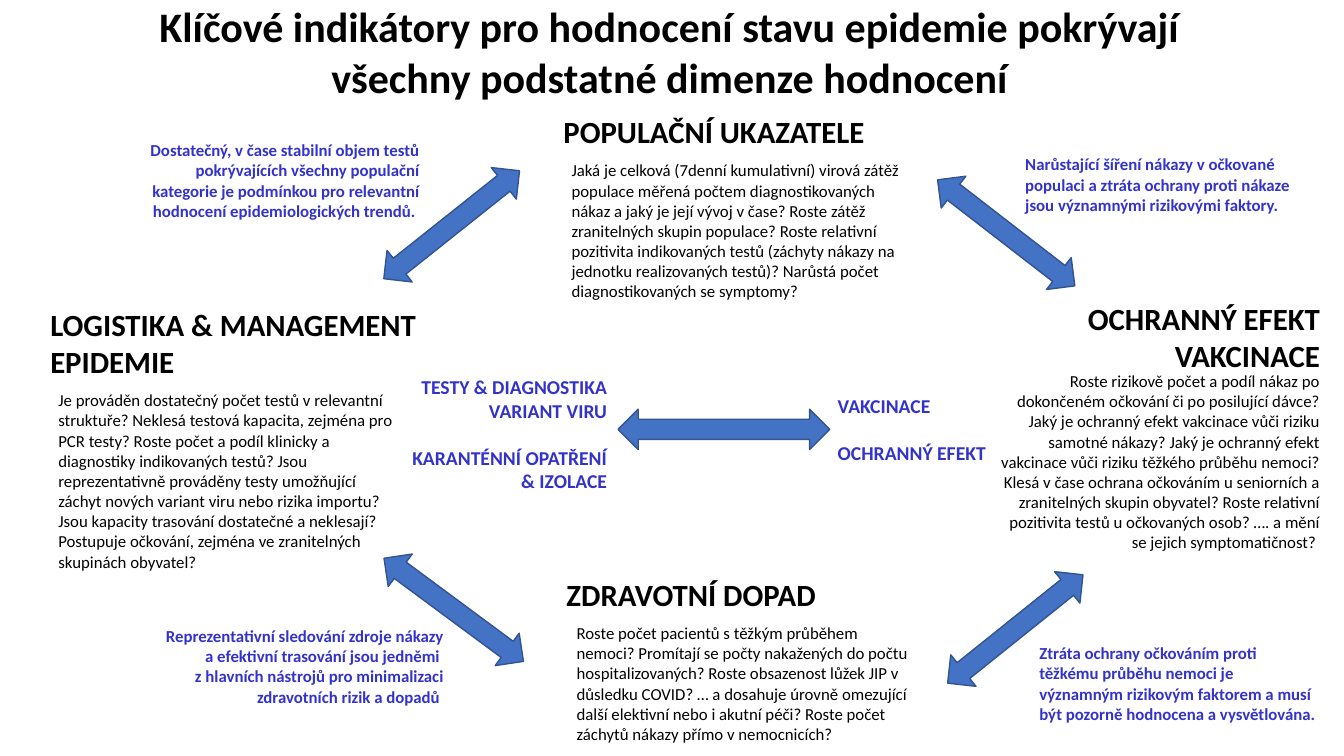
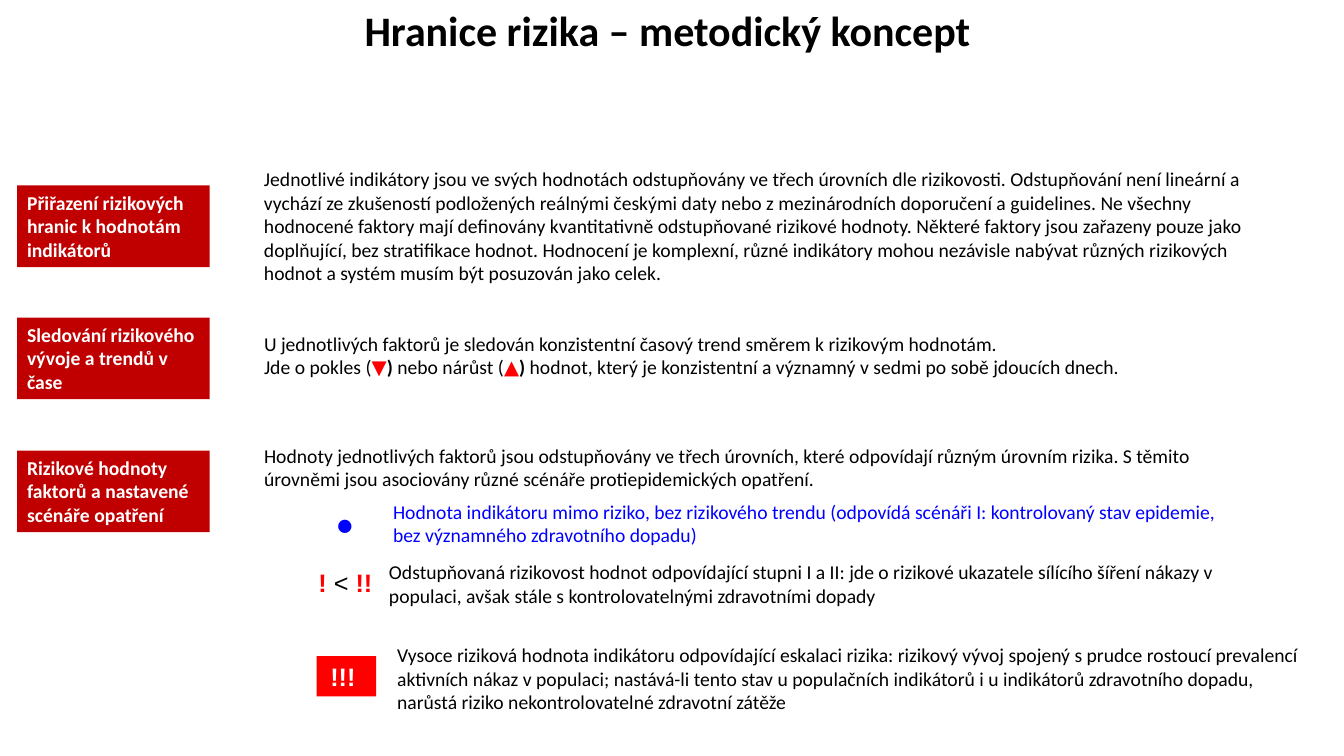
from dataclasses import dataclass

from pptx import Presentation
from pptx import util as u
from pptx.dml.color import RGBColor
from pptx.enum import shapes as kinds, text as txt

PX = 9144  # EMU per px, 100 px to the inch
LEFT, MID, RIGHT = txt.PP_ALIGN.LEFT, txt.PP_ALIGN.CENTER, txt.PP_ALIGN.RIGHT


@dataclass(frozen=True)
class Style:
    size: int
    color: str = "000000"
    bold: bool = False
    font: str = "Calibri"


@dataclass(frozen=True)
class Theme:
    title: Style = Style(30, bold=True)
    head: Style = Style(22, bold=True)
    body: Style = Style(12)
    note: Style = Style(12, "3333CC", True)
    link: Style = Style(14, "3333CC", True)
    text: Style = Style(14)
    strong: Style = Style(14, bold=True)
    calm: Style = Style(14, "0000FF")
    trend: Style = Style(14, "FF0000", True)
    label: Style = Style(14, "FFFFFF", True)
    dot: Style = Style(22, "0000FF", True, "Arial")
    mark: Style = Style(18, "FF0000", True, "Arial")
    less: Style = Style(18, font="Arial")
    alarm: Style = Style(18, "FFFFFF", True, "Arial")
    arrow: str = "4472C4"
    edge: str = "325491"
    tag: str = "C00000"
    alert: str = "FF0000"


T = Theme()
Piece = tuple[str, Style]
Para = str | tuple[Piece, ...]


@dataclass(frozen=True)
class Box:
    x: int
    y: int
    w: int
    h: int
    style: Style
    paras: tuple[Para, ...]
    align: txt.PP_ALIGN = LEFT
    gap: int = 0  # points between paragraphs
    fill: str = ""


@dataclass(frozen=True)
class Arrow:
    x: int
    y: int
    turn: float
    h: int = 172
    w: int = 40


def place(*sizes: int) -> list[u.Emu]:
    return [u.Emu(s * PX) for s in sizes]


def paint(run, style: Style) -> None:
    font = run.font
    font.name, font.size, font.bold = style.font, u.Pt(style.size), style.bold
    font.color.rgb = RGBColor.from_string(style.color)


def write(par, item: Para, style: Style) -> None:
    if isinstance(item, str):
        par.text = item
        paint(par.runs[0], style)
        return
    for words, look in item:
        run = par.add_run()
        run.text = words
        paint(run, look)


def draw_box(slide, box: Box) -> None:
    spot = place(box.x, box.y, box.w, box.h)
    if box.fill:
        shape = slide.shapes.add_shape(kinds.MSO_SHAPE.RECTANGLE, *spot)
        shape.shadow.inherit = False
        shape.fill.solid()
        shape.fill.fore_color.rgb = RGBColor.from_string(box.fill)
        shape.line.fill.background()
    else:
        shape = slide.shapes.add_textbox(*spot)
    frame = shape.text_frame
    frame.word_wrap = True
    frame.auto_size = txt.MSO_AUTO_SIZE.SHAPE_TO_FIT_TEXT
    frame.vertical_anchor = txt.MSO_ANCHOR.TOP
    for i, item in enumerate(box.paras):
        par = frame.add_paragraph() if i else frame.paragraphs[0]
        par.alignment = box.align
        if i and box.gap:
            par.space_before = u.Pt(box.gap)
        write(par, item, box.style)


def draw_arrow(slide, arrow: Arrow) -> None:
    shape = slide.shapes.add_shape(
        kinds.MSO_SHAPE.UP_DOWN_ARROW, *place(arrow.x, arrow.y, arrow.w, arrow.h))
    shape.rotation = arrow.turn
    shape.shadow.inherit = False
    shape.fill.solid()
    shape.fill.fore_color.rgb = RGBColor.from_string(T.arrow)
    shape.line.color.rgb = RGBColor.from_string(T.edge)
    shape.line.width = u.Pt(1)


def title(x: int, y: int, h: int, *lines: str) -> Box:
    return Box(x, y, 1300, h, T.title, lines, MID)


# Slide 1: four dimensions joined by arrows
ARROWS = (
    Arrow(428, 137, 51.5),
    Arrow(430, 519, 126.5),
    Arrow(978, 145, 127.7),
    Arrow(987, 538, 231.3),
    Arrow(698, 321, 90, 210),
)
CYCLE = (
    title(19, -4, 111,
          "Klíčové indikátory pro hodnocení stavu epidemie pokrývají ",
          "všechny podstatné dimenze hodnocení "),
    # Headings
    Box(40, 298, 391, 84, T.head, ("LOGISTIKA & MANAGEMENT EPIDEMIE",)),
    Box(549, 107, 347, 47, T.head, ("POPULAČNÍ UKAZATELE",)),
    Box(552, 566, 318, 47, T.head, ("ZDRAVOTNÍ DOPAD",)),
    Box(1049, 292, 270, 84, T.head, ("OCHRANNÝ EFEKT VAKCINACE",), RIGHT),
    # Questions
    Box(48, 382, 355, 192, T.body, (
        "Je prováděn dostatečný počet testů v relevantní struktuře? Neklesá "
        "testová kapacita, zejména pro PCR testy? Roste počet a podíl klinicky "
        "a diagnostiky indikovaných testů? Jsou reprezentativně prováděny testy "
        "umožňující záchyt nových variant viru nebo rizika importu? Jsou "
        "kapacity trasování dostatečné a neklesají? Postupuje očkování, zejména "
        "ve zranitelných skupinách obyvatel?",)),
    Box(557, 154, 355, 151, T.body, (
        "Jaká je celková (7denní kumulativní) virová zátěž populace měřená "
        "počtem diagnostikovaných nákaz a jaký je její vývoj v čase? Roste "
        "zátěž zranitelných skupin populace? Roste relativní pozitivita "
        "indikovaných testů (záchyty nákazy na jednotku realizovaných testů)? "
        "Narůstá počet diagnostikovaných se symptomy?",)),
    Box(562, 613, 355, 131, T.body, (
        "Roste počet pacientů s těžkým průběhem nemoci? Promítají se počty "
        "nakažených do počtu hospitalizovaných? Roste obsazenost lůžek JIP "
        "v důsledku COVID? … a dosahuje úrovně omezující další elektivní nebo "
        "i akutní péči? Roste počet záchytů nákazy přímo v nemocnicích?",)),
    Box(981, 363, 338, 192, T.body, (
        "Roste rizikově počet a podíl nákaz po dokončeném očkování či po "
        "posilující dávce? Jaký je ochranný efekt vakcinace vůči riziku samotné "
        "nákazy? Jaký je ochranný efekt vakcinace vůči riziku těžkého průběhu "
        "nemoci? Klesá v čase ochrana očkováním u seniorních a zranitelných "
        "skupin obyvatel? Roste relativní pozitivita testů u očkovaných osob? "
        "…. a mění se jejich symptomatičnost? ",), RIGHT),
    # Corner notes
    Box(128, 134, 298, 91, T.note, (
        "Dostatečný, v čase stabilní objem testů pokrývajících všechny populační "
        "kategorie je podmínkou pro relevantní hodnocení epidemiologických "
        "trendů. ",), RIGHT),
    Box(152, 616, 298, 91, T.note, (
        "Reprezentativní sledování zdroje nákazy a efektivní trasování jsou "
        "jedněmi ",
        "z hlavních nástrojů pro minimalizaci zdravotních rizik a dopadů "), RIGHT),
    Box(1007, 148, 298, 71, T.note, (
        "Narůstající šíření nákazy v očkované populaci a ztráta ochrany proti "
        "nákaze jsou významnými rizikovými faktory.",)),
    Box(1021, 633, 298, 91, T.note, (
        "Ztráta ochrany očkováním proti těžkému průběhu nemoci je významným "
        "rizikovým faktorem a musí být pozorně hodnocena a vysvětlována.",)),
    # Words beside the middle arrow
    Box(399, 367, 213, 128, T.link, (
        "TESTY & DIAGNOSTIKA VARIANT VIRU",
        "KARANTÉNNÍ OPATŘENÍ & IZOLACE"), RIGHT, 17),
    Box(821, 386, 195, 81, T.link, ("VAKCINACE", "OCHRANNÝ EFEKT"), gap=17),
)

# Slide 2: red tags, their text and the key to the marks
TAGS = (
    "Přiřazení rizikových hranic k hodnotám indikátorů",
    "Sledování rizikového vývoje a trendů v čase",
    "Rizikové hodnoty faktorů a nastavené scénáře opatření",
)
LIMITS = (
    title(17, 0, 61, "Hranice rizika – metodický koncept "),
    *(Box(17, 184 + i * 263 // 2, 191, 81, T.label, (tag,), fill=T.tag)
      for i, tag in enumerate(TAGS)),
    Box(252, 161, 1016, 128, T.text, (
        "Jednotlivé indikátory jsou ve svých hodnotách odstupňovány ve třech "
        "úrovních dle rizikovosti. Odstupňování není lineární a vychází ze "
        "zkušeností podložených reálnými českými daty nebo z mezinárodních "
        "doporučení a guidelines. Ne všechny hodnocené faktory mají definovány "
        "kvantitativně odstupňované rizikové hodnoty. Některé faktory jsou "
        "zařazeny pouze jako doplňující, bez stratifikace hodnot. Hodnocení je "
        "komplexní, různé indikátory mohou nezávisle nabývat různých rizikových "
        "hodnot a systém musím být posuzován jako celek.",)),
    Box(252, 324, 998, 57, T.text, (
        "U jednotlivých faktorů je sledován konzistentní časový trend směrem "
        "k rizikovým hodnotám.",
        (("Jde o pokles (", T.text), ("▼", T.trend), (") ", T.strong),
         ("nebo nárůst (", T.text), ("▲", T.trend), (") ", T.strong),
         ("hodnot, který je konzistentní a významný v sedmi po sobě jdoucích "
          "dnech.", T.text)))),
    Box(252, 435, 998, 57, T.text, (
        "Hodnoty jednotlivých faktorů jsou odstupňovány ve třech úrovních, které "
        "odpovídají různým úrovním rizika. S těmito úrovněmi jsou asociovány "
        "různé scénáře protiepidemických opatření.",)),
    # Key
    Box(323, 496, 41, 47, T.dot, ("●",)),
    Box(380, 491, 850, 57, T.calm, (
        "Hodnota indikátoru mimo riziko, bez rizikového trendu (odpovídá scénáři "
        "I: kontrolovaný stav epidemie, bez významného zdravotního dopadu)",)),
    Box(306, 558, 78, 40, T.mark, (
        (("! ", T.mark), ("<", T.less), (" !!", T.mark)),)),
    Box(376, 551, 850, 57, T.text, (
        "Odstupňovaná rizikovost hodnot odpovídající stupni I a II: jde o "
        "rizikové ukazatele sílícího šíření nákazy v populaci, avšak stále "
        "s kontrolovatelnými zdravotními dopady",)),
    Box(314, 651, 59, 40, T.alarm, ("!!! ",), MID, fill=T.alert),
    Box(384, 633, 932, 81, T.text, (
        "Vysoce riziková hodnota indikátoru odpovídající eskalaci rizika: "
        "rizikový vývoj spojený s prudce rostoucí prevalencí aktivních nákaz "
        "v populaci; nastává-li tento stav u populačních indikátorů i u "
        "indikátorů zdravotního dopadu, narůstá riziko nekontrolovatelné "
        "zdravotní zátěže",)),
)


def main() -> None:
    deck = Presentation()
    deck.slide_width, deck.slide_height = place(1333, 750)
    for boxes, arrows in ((CYCLE, ARROWS), (LIMITS, ())):
        slide = deck.slides.add_slide(deck.slide_layouts[6])
        for arrow in arrows:
            draw_arrow(slide, arrow)
        for box in boxes:
            draw_box(slide, box)
    deck.save("out.pptx")


if __name__ == "__main__":
    main()
